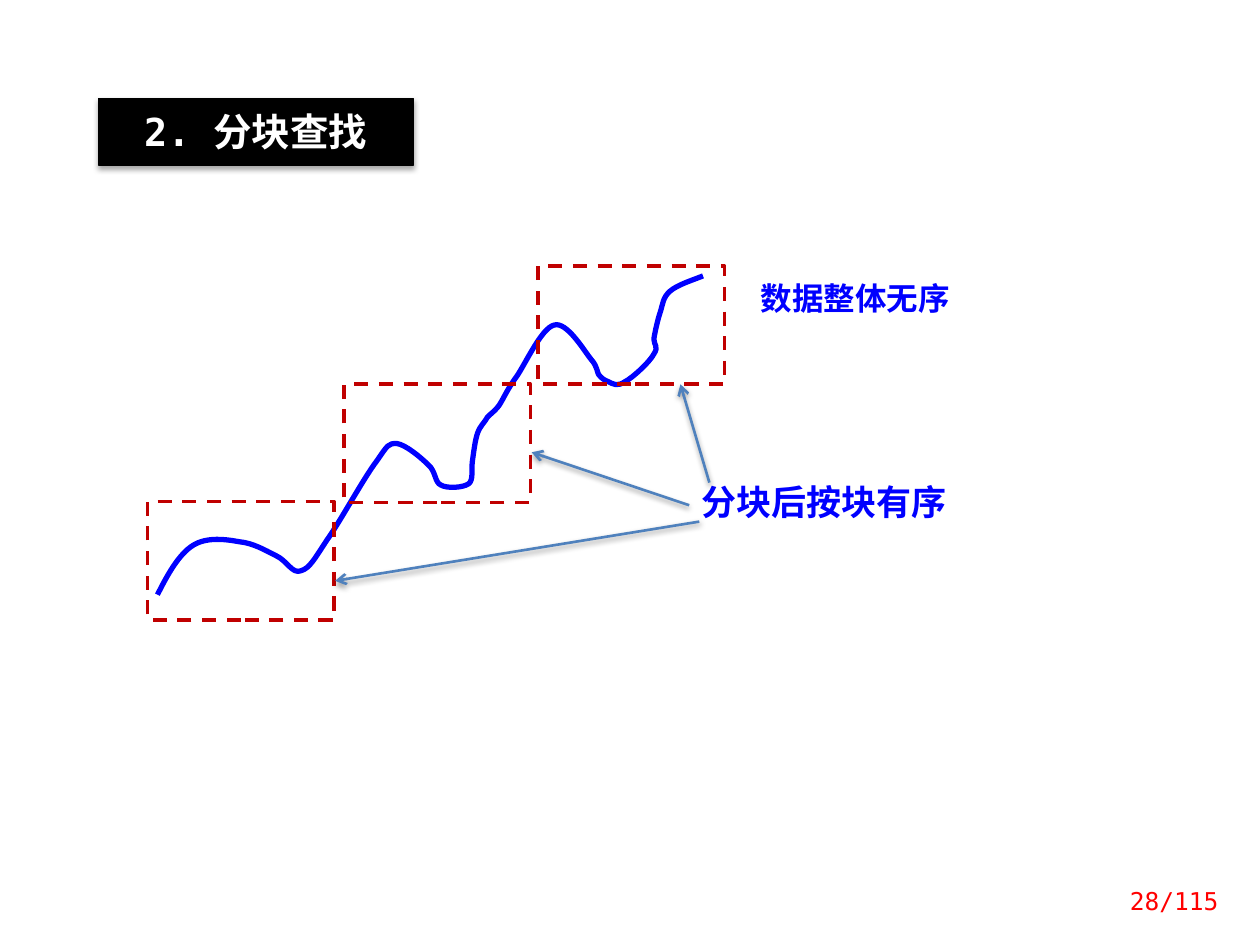
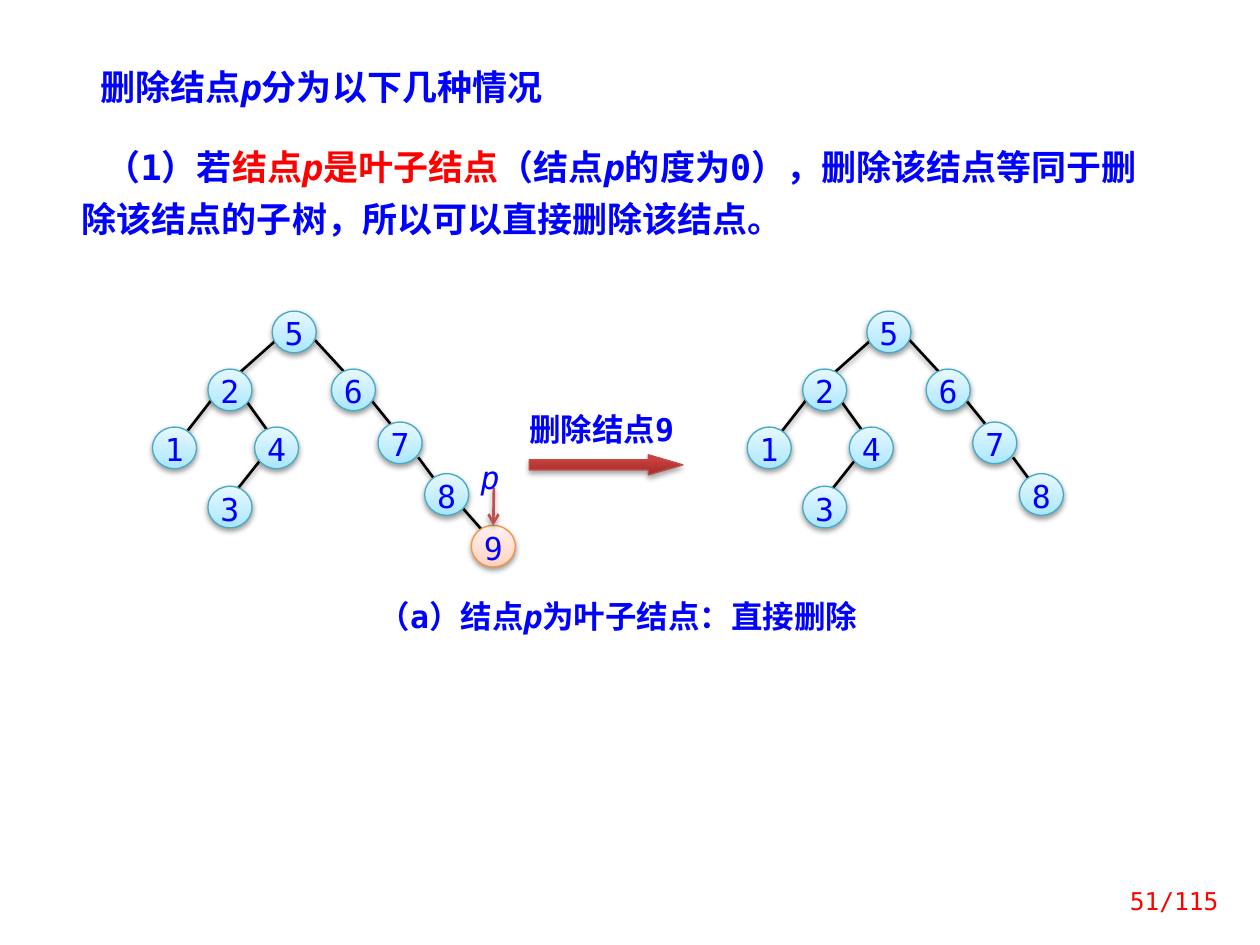
"""Builds two slides on block search and on deleting a leaf of a search tree."""
from lxml import etree
from pptx import Presentation
from pptx.dml.color import RGBColor
from pptx.enum.dml import MSO_LINE
from pptx.enum.shapes import MSO_CONNECTOR, MSO_SHAPE
from pptx.enum.text import MSO_ANCHOR, PP_ALIGN
from pptx.oxml.ns import qn
from pptx.util import Inches, Pt

RECTANGLE, OVAL, RIGHT_ARROW = MSO_SHAPE.RECTANGLE, MSO_SHAPE.OVAL, MSO_SHAPE.RIGHT_ARROW
STRAIGHT, DASH = MSO_CONNECTOR.STRAIGHT, MSO_LINE.DASH
LEFT, CENTER, RIGHT = PP_ALIGN.LEFT, PP_ALIGN.CENTER, PP_ALIGN.RIGHT
TOP, MIDDLE = MSO_ANCHOR.TOP, MSO_ANCHOR.MIDDLE

BLACK = RGBColor(0x00, 0x00, 0x00)
WHITE = RGBColor(0xFF, 0xFF, 0xFF)
BLUE = RGBColor(0x00, 0x00, 0xFF)
RED = RGBColor(0xFF, 0x00, 0x00)
DARK_RED = RGBColor(0xC0, 0x00, 0x00)
STEEL = RGBColor(0x4F, 0x81, 0xBD)
BRICK = RGBColor(0xC0, 0x50, 0x4D)
NODE_LINE = RGBColor(0x46, 0xAA, 0xC5)
LEAF_LINE = RGBColor(0xF6, 0x92, 0x40)
ARROW_LINE = RGBColor(0xBF, 0x4C, 0x48)
NODE_STOPS = ((0, "A7E6FF"), (35, "C1EDFF"), (100, "E7F8FF"))
LEAF_STOPS = ((0, "FFD2BD"), (35, "FFDED0"), (100, "FFF2ED"))
ARROW_STOPS = ((0, "9C2F2D"), (80, "CB3E3A"), (100, "CE3B37"))

MONO, CJK = "DejaVu Sans Mono", "Noto Sans CJK SC"
LINE_SHADOW = (38, 1.6)
BLOCK_SHADOW = (35, 1.8)
PAGE_TOTAL = 115
NODE_SIZE = (0.35, 0.33)
SECOND_TREE_SHIFT = 4.72

# Start point, then two control points and an end point for each curve.
DATA_CURVE = (
    (1.25, 4.72), (1.33, 4.56), (1.42, 4.4), (1.53, 4.33),
    (1.64, 4.26), (1.79, 4.28), (1.9, 4.3), (2.01, 4.31), (2.11, 4.37), (2.19, 4.41),
    (2.28, 4.45), (2.32, 4.56), (2.39, 4.53), (2.46, 4.51), (2.5, 4.43), (2.6, 4.28),
    (2.7, 4.14), (2.89, 3.79), (2.99, 3.66), (3.08, 3.53), (3.08, 3.52), (3.15, 3.52),
    (3.22, 3.53), (3.34, 3.63), (3.4, 3.69), (3.46, 3.74), (3.45, 3.83), (3.5, 3.85),
    (3.55, 3.88), (3.68, 3.87), (3.72, 3.84), (3.76, 3.81), (3.74, 3.73), (3.75, 3.66),
    (3.76, 3.59), (3.77, 3.5), (3.79, 3.44), (3.81, 3.38), (3.85, 3.35), (3.87, 3.31),
    (3.9, 3.28), (3.92, 3.27), (3.96, 3.22), (4, 3.16), (4.02, 3.1), (4.1, 2.99),
    (4.17, 2.89), (4.3, 2.6), (4.4, 2.58), (4.5, 2.55), (4.64, 2.79), (4.69, 2.85),
    (4.75, 2.92), (4.73, 2.94), (4.75, 2.97), (4.77, 3), (4.8, 3.02), (4.83, 3.03),
    (4.87, 3.05), (4.9, 3.07), (4.96, 3.03), (5.02, 3), (5.16, 2.87), (5.19, 2.81),
    (5.23, 2.75), (5.19, 2.74), (5.19, 2.69), (5.2, 2.63), (5.22, 2.54), (5.24, 2.48),
    (5.26, 2.42), (5.26, 2.36), (5.32, 2.31), (5.38, 2.26), (5.48, 2.23), (5.58, 2.19),
)

# Node label: left, top.
TREE_NODES = {
    5: (2.16, 2.47), 2: (1.65, 2.93), 6: (2.63, 2.93), 1: (1.21, 3.39), 4: (2.02, 3.39),
    3: (1.65, 3.86), 7: (3, 3.35), 8: (3.37, 3.76), 9: (3.74, 4.17),
}
# Child label: start and end of the edge from its parent.
TREE_EDGES = {
    2: ((2.18, 2.71), (1.91, 2.95)), 3: ((2.06, 3.66), (1.87, 3.9)),
    1: ((1.69, 3.16), (1.48, 3.43)), 7: ((2.95, 3.18), (3.12, 3.39)),
    8: ((3.32, 3.63), (3.46, 3.82)), 9: ((3.67, 4.03), (3.82, 4.2)),
    4: ((1.96, 3.19), (2.19, 3.51)), 6: ((2.5, 2.7), (2.74, 2.96)),
}


def inches(values):
    """Turn plain numbers into lengths."""
    return [Inches(value) for value in values]


def set_shadow(shape, alpha, distance):
    """Drop a soft black shadow straight below a shape."""
    properties = shape._element.spPr
    effects = properties.find(qn("a:effectLst"))
    if effects is None:
        effects = etree.SubElement(properties, qn("a:effectLst"))
    outer = etree.SubElement(effects, qn("a:outerShdw"), blurRad=str(Pt(3.1)),
                             dist=str(Pt(distance)), dir="5400000", rotWithShape="0")
    color = etree.SubElement(outer, qn("a:srgbClr"), val="000000")
    etree.SubElement(color, qn("a:alpha"), val=str(alpha * 1000))


def set_gradient(shape, stops):
    """Fill a shape with a gradient running from bottom to top."""
    shape.fill.gradient()
    shape.fill.gradient_angle = 90
    stop_list = shape._element.spPr.find(".//" + qn("a:gsLst"))
    for old_stop in list(stop_list):
        stop_list.remove(old_stop)
    for position, color in stops:
        stop = etree.SubElement(stop_list, qn("a:gs"), pos=str(position * 1000))
        etree.SubElement(stop, qn("a:srgbClr"), val=color)


def write(shape, spans, size, color=BLUE, bold=False, align=LEFT, spacing=None,
          margins=(0.1, 0.05), anchor=TOP, font=MONO, indent=0):
    """Write one paragraph; each span is its text, color or None, and italic flag."""
    frame = shape.text_frame
    frame.word_wrap = True
    frame.vertical_anchor = anchor
    frame.margin_left = frame.margin_right = Inches(margins[0])
    frame.margin_top = frame.margin_bottom = Inches(margins[1])
    para = frame.paragraphs[0]
    para.alignment = align
    if spacing:
        para.line_spacing = spacing
    if indent:
        para._p.get_or_add_pPr().set("indent", str(Inches(indent)))
    for text, span_color, italic in spans:
        span = para.add_run()
        span.text = text
        span.font.name = font
        span.font.size = Pt(size)
        span.font.bold = bold
        span.font.italic = italic
        span.font.color.rgb = span_color or color
        latin = span.font._element.find(qn("a:latin"))
        latin.addnext(latin.makeelement(qn("a:ea"), {"typeface": CJK}))


def plain(text):
    """Give the span list of a text in a single style."""
    return [(text, None, False)]


def add_text(page, place, spans, size, **style):
    """Add a text box."""
    write(page.shapes.add_textbox(*inches(place)), spans, size, **style)


def add_label(page, place, spans, **style):
    """Add a centred figure label without margins."""
    add_text(page, place, spans, 18, align=CENTER, spacing=Pt(20), margins=(0, 0), **style)


def add_shape(page, kind, place, line_color, line_width=0.75):
    """Add a preset shape with an outline and no fill."""
    shape = page.shapes.add_shape(kind, *inches(place))
    shape.shadow.inherit = False
    shape.fill.background()
    shape.line.color.rgb = line_color
    shape.line.width = Pt(line_width)
    return shape


def add_line(page, start, end, color, arrow=False):
    """Add a shadowed straight line, with an arrowhead at its end if wanted."""
    line = page.shapes.add_connector(STRAIGHT, *inches(start + end))
    line.line.color.rgb = color
    line.line.width = Pt(1.5)
    if arrow:
        etree.SubElement(line.line._get_or_add_ln(), qn("a:tailEnd"), type="arrow")
    set_shadow(line, *LINE_SHADOW)
    return line


def add_curve(page, points, color, width):
    """Add an open outline of cubic curves."""
    builder = page.shapes.build_freeform(*inches(points[0]))
    builder.add_line_segments([inches(point) for point in points[1:]], close=False)
    curve = builder.convert_to_shape()
    curve.shadow.inherit = False
    curve.fill.background()
    curve.line.color.rgb = color
    curve.line.width = Pt(width)
    outline = curve._element.spPr.find(".//" + qn("a:path"))
    segments = outline.findall(qn("a:lnTo"))
    for first in range(0, len(segments), 3):
        cubic = etree.SubElement(outline, qn("a:cubicBezTo"))
        for segment in segments[first:first + 3]:
            cubic.append(segment[0])
            outline.remove(segment)


def add_tree(page, labels, shift=0):
    """Draw the chosen tree nodes over their edges and return the nodes by label."""
    for label, ((x1, y1), (x2, y2)) in TREE_EDGES.items():
        if label in labels:
            add_line(page, (x1 + shift, y1), (x2 + shift, y2), BLACK)
    nodes = {}
    for label in labels:
        left, top = TREE_NODES[label]
        deleted = label == 9
        node = add_shape(page, OVAL, (left + shift, top) + NODE_SIZE,
                         LEAF_LINE if deleted else NODE_LINE)
        set_gradient(node, LEAF_STOPS if deleted else NODE_STOPS)
        set_shadow(node, *LINE_SHADOW)
        write(node, plain(str(label)), 18, align=CENTER, spacing=Pt(20), margins=(0, 0))
        nodes[label] = node
    return nodes


def add_page(deck, number):
    """Add a blank page with its page number."""
    page = deck.slides.add_slide(deck.slide_layouts[6])
    add_text(page, (8.63, 6.95, 1.14, 0.4), plain(f"{number}/{PAGE_TOTAL}"), 14,
             color=RED, align=RIGHT, anchor=MIDDLE)
    return page


def build_block_search(deck):
    """Build the page on block search."""
    page = add_page(deck, 28)
    title = add_shape(page, RECTANGLE, (0.78, 0.78, 2.5, 0.53), BLACK)
    title.fill.solid()
    title.fill.fore_color.rgb = BLACK
    set_shadow(title, *BLOCK_SHADOW)
    write(title, plain("2. 分块查找"), 22, color=WHITE, bold=True, align=CENTER,
          margins=(0.1, 0.08))

    add_curve(page, DATA_CURVE, BLUE, 3)
    add_text(page, (5.94, 2.22, 2.11, 0.34), plain("数据整体无序"), 18, bold=True,
             spacing=0.8, font=CJK)
    for left, top in ((1.17, 3.98), (2.73, 3.05), (4.27, 2.11)):
        block = add_shape(page, RECTANGLE, (left, top, 1.48, 0.94), DARK_RED, 2)
        block.line.dash_style = DASH
    add_text(page, (5.47, 3.83, 2.42, 0.37), plain("分块后按块有序"), 20, bold=True,
             spacing=0.8)
    for start, end in (((5.55, 4.14), (2.66, 4.61)), ((5.47, 4.01), (4.22, 3.59)),
                       ((5.63, 3.83), (5.4, 3.05))):
        add_line(page, start, end, STEEL, arrow=True)


def build_leaf_deletion(deck):
    """Build the page on deleting a leaf node."""
    page = add_page(deck, 51)
    node_name = ("p", None, True)
    add_text(page, (0.7, 0.47, 4.06, 0.44),
             [("删除结点", None, False), node_name, ("分为以下几种情况", None, False)],
             20, bold=True)
    add_text(page, (0.55, 1.02, 8.59, 0.94),
             [("（1）若", None, False), ("结点", RED, False), ("p", RED, True),
              ("是叶子结点", RED, False), ("（结点", None, False), node_name,
              ("的度为0），删除该结点等同于删除该结点的子树，所以可以直接删除该结点。",
               None, False)],
             20, bold=True, spacing=Pt(30), indent=0.19)

    nodes = add_tree(page, list(TREE_NODES))
    add_tree(page, [label for label in TREE_NODES if label != 9], SECOND_TREE_SHIFT)

    add_label(page, (2.81, 4.76, 4.19, 0.32),
              [("（a）结点", None, False), node_name, ("为叶子结点：直接删除", None, False)],
              bold=True)
    step = add_shape(page, RIGHT_ARROW, (4.2, 3.61, 1.22, 0.16), ARROW_LINE)
    step.adjustments[1] = 1.72
    set_gradient(step, ARROW_STOPS)
    set_shadow(step, *BLOCK_SHADOW)
    add_label(page, (4.06, 3.28, 1.43, 0.24), plain("删除结点9"), bold=True)
    pointer = add_line(page, (3.92, 3.87), (3.92, 4.17), BRICK, arrow=True)
    pointer.end_connect(nodes[9], 0)
    add_label(page, (3.75, 3.66, 0.28, 0.25), [node_name])


def main():
    """Build and save the deck."""
    deck = Presentation()
    deck.slide_width, deck.slide_height = Inches(10), Inches(7.5)
    build_block_search(deck)
    build_leaf_deletion(deck)
    deck.save("out.pptx")


if __name__ == "__main__":
    main()
